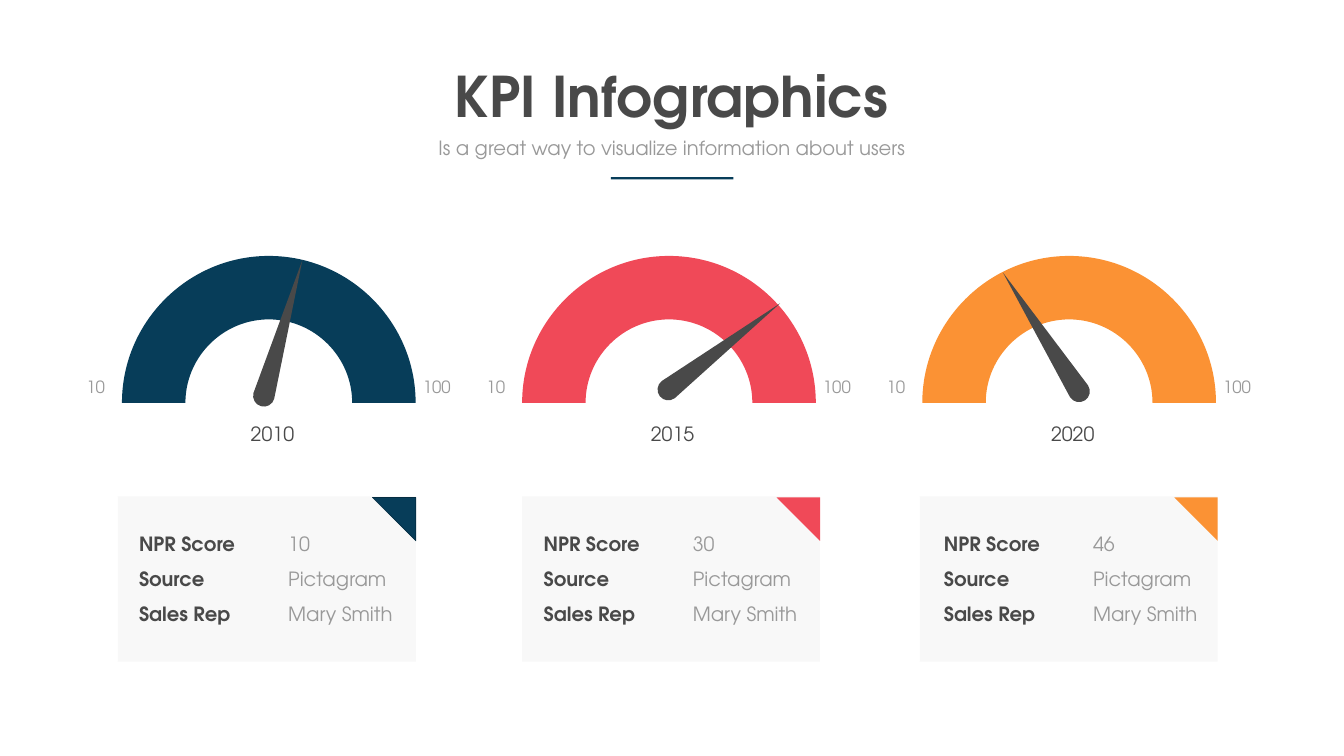
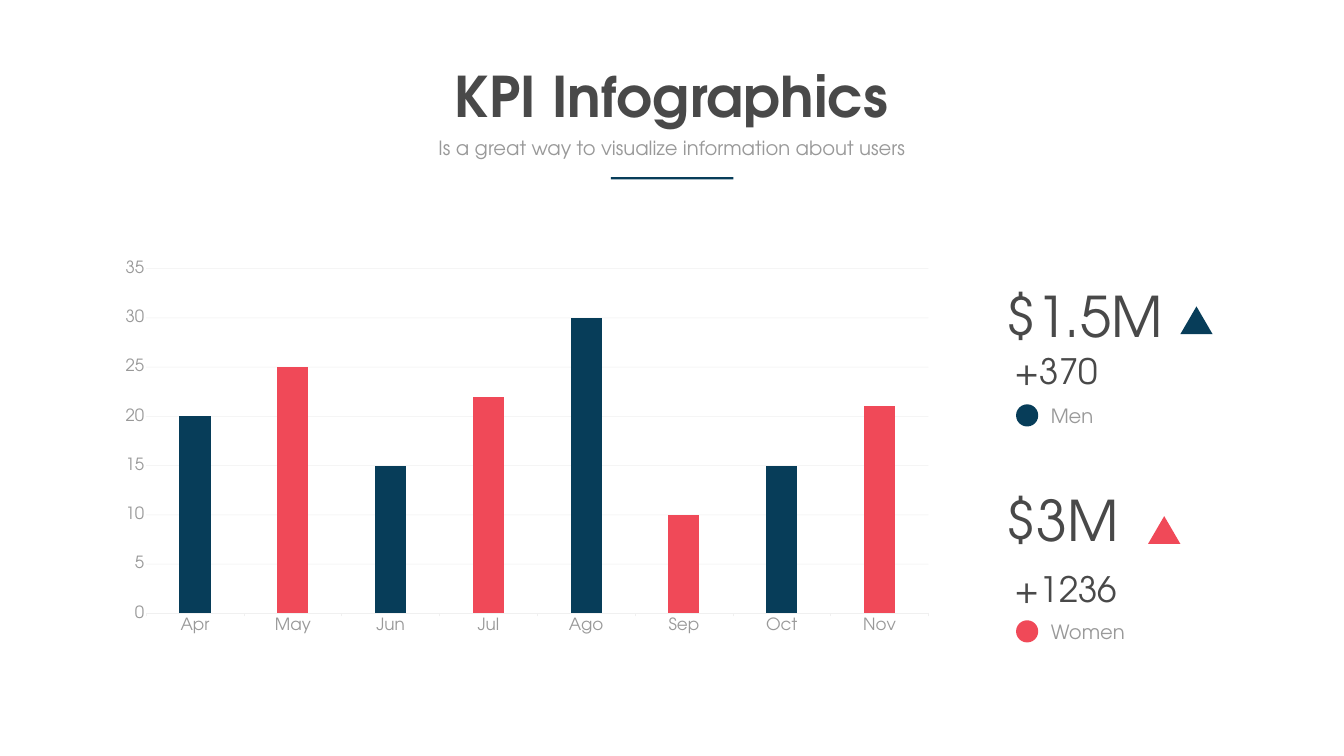
import math
from dataclasses import dataclass
from typing import Any, NamedTuple

from lxml import etree
from pptx import Presentation
from pptx.chart.data import CategoryChartData
from pptx.dml.color import RGBColor
from pptx.enum.chart import XL_CHART_TYPE, XL_TICK_MARK
from pptx.enum.shapes import MSO_SHAPE
from pptx.enum.text import MSO_AUTO_SIZE, PP_ALIGN
from pptx.oxml import parse_xml
from pptx.oxml.ns import nsdecls, qn
from pptx.util import Inches, Pt

RECTANGLE = MSO_SHAPE.RECTANGLE
OVAL = MSO_SHAPE.OVAL
TRIANGLE = MSO_SHAPE.ISOSCELES_TRIANGLE
RIGHT_TRIANGLE = MSO_SHAPE.RIGHT_TRIANGLE
COLUMN_CHART = XL_CHART_TYPE.COLUMN_CLUSTERED
TICK_OUTSIDE = XL_TICK_MARK.OUTSIDE
TICK_NONE = XL_TICK_MARK.NONE
GROW = MSO_AUTO_SIZE.SHAPE_TO_FIT_TEXT
LEFT, CENTER, RIGHT = PP_ALIGN.LEFT, PP_ALIGN.CENTER, PP_ALIGN.RIGHT

SLIDE_WIDTH, SLIDE_HEIGHT = Inches(26.67), Inches(15)
GRID_COLUMNS, GRID_ROWS = 320, 180
FONT = "TeX Gyre Adventor"
NAVY, NAVY_EDGE, RED, ORANGE = "073D59", "052D42", "F04958", "FB9234"
DARK, GREY, PALE, AXIS = "494949", "999999", "F2F2F2", "F0F0F0"
LABEL_SPACING = 40.8

GAUGE_PITCH, GAUGE_LEFT, GAUGE_BASE = 95.28, 29.04, 95.9
OUTER_RADIUS, INNER_RADIUS = 34.96, 19.85
NEEDLE_LENGTH, NEEDLE_RADIUS = 33.6, 2.56
CURVE_HANDLE = 0.55
CARD_TOP, CARD_WIDTH, CARD_HEIGHT, CORNER = 118.2, 70.92, 39.36, 10.32
DETAIL_TOP, DETAIL_PITCH, DETAIL_HEIGHT, VALUE_OFFSET = 126, 8.33, 6.84, 35.52


class Box(NamedTuple):
    column: float
    row: float
    columns: float
    rows: float


class Point(NamedTuple):
    column: float
    row: float


@dataclass
class TextStyle:
    size: float = 28
    color: str = GREY
    bold: bool = False
    align: Any = LEFT
    spacing: float | None = None
    wrap: bool = True


@dataclass
class Gauge:
    year: str
    color: str
    needle_angle: float
    pivot_offset: float
    pivot_row: float
    card_column: float
    detail_column: float
    score: str
    edge: str | None = None


@dataclass
class Total:
    amount: str
    change: str
    audience: str
    color: str
    amount_row: float
    change_row: float
    audience_row: float
    triangle: Point


TITLE = TextStyle(80, DARK, bold=True, align=CENTER, wrap=False)
SUBTITLE = TextStyle(align=CENTER)
YEAR = TextStyle(color=DARK, align=CENTER)
MINIMUM = TextStyle(24, align=RIGHT, spacing=LABEL_SPACING)
MAXIMUM = TextStyle(24, spacing=LABEL_SPACING)
DETAIL_NAME = TextStyle(color=DARK, bold=True)
PLAIN = TextStyle()
AMOUNT = TextStyle(80, DARK)
CHANGE = TextStyle(50, DARK, spacing=LABEL_SPACING)

GAUGES = [
    Gauge("2010", NAVY, 15.85, 33.78, 94.26, 28.08, 31.92, "10", NAVY_EDGE),
    Gauge("2015", RED, 52.35, 34.8, 92.76, 124.32, 128.28, "30"),
    Gauge("2020", ORANGE, -32.65, 37.32, 93.18, 219, 223.56, "46"),
]
TOTALS = [
    Total("$1.5M", "+370", "Men", NAVY, 66.48, 85.92, 95.52, Point(281.04, 72.96)),
    Total("$3M", "+1236", "Women", RED, 115.08, 137.76, 146.94, Point(273.36, 122.88)),
]
MONTHLY = {"Apr": 20, "May": 25, "Jun": 15, "Jul": 22,
           "Ago": 30, "Sep": 10, "Oct": 15, "Nov": 21}


def rgb(color: str) -> RGBColor:
    return RGBColor.from_string(color)


def x(columns: float) -> int:
    return round(SLIDE_WIDTH * columns / GRID_COLUMNS)


def y(rows: float) -> int:
    return round(SLIDE_HEIGHT * rows / GRID_ROWS)


def place(box: Box) -> tuple[int, int, int, int]:
    return x(box.column), y(box.row), x(box.columns), y(box.rows)


def set_opacity(color_element: Any, percent: int) -> None:
    etree.SubElement(color_element, qn("a:alpha")).set("val", str(percent * 1000))


def paint(shape: Any, color: str, edge: str | None = None) -> None:
    shape.shadow.inherit = False
    shape.fill.solid()
    shape.fill.fore_color.rgb = rgb(color)
    if edge:
        shape.line.color.rgb = rgb(edge)
        shape.line.width = Pt(1)
    else:
        shape.line.fill.background()


def add_figure(shapes: Any, kind: Any, box: Box, color: str, edge: str | None = None) -> Any:
    shape = shapes.add_shape(kind, *place(box))
    paint(shape, color, edge)
    return shape


def add_outline(shapes: Any, strokes: list[list[Point]], color: str) -> None:
    corners = [(x(point.column), y(point.row)) for stroke in strokes for point in stroke]
    builder = shapes.build_freeform(*corners[0])
    builder.add_line_segments(corners[1:], close=True)
    shape = builder.convert_to_shape()
    paint(shape, color)
    lines = iter(shape._element.xpath(".//a:path/a:lnTo"))
    for stroke in strokes[1:]:
        first, *others = [next(lines) for _ in stroke]
        if others:
            first.tag = qn("a:cubicBezTo")
            for line in others:
                first.append(line[0])
                line.getparent().remove(line)


def add_text(shapes: Any, text: str, box: Box, style: TextStyle) -> None:
    text_frame = shapes.add_textbox(*place(box)).text_frame
    text_frame.word_wrap = style.wrap
    text_frame.auto_size = GROW
    text_frame.text = text
    paragraph = text_frame.paragraphs[0]
    paragraph.alignment = style.align
    if style.spacing:
        paragraph.line_spacing = Pt(style.spacing)
    font = paragraph.runs[0].font
    font.name, font.size, font.bold = FONT, Pt(style.size), style.bold
    font.color.rgb = rgb(style.color)


def add_header(shapes: Any) -> None:
    add_text(shapes, "KPI Infographics", Box(106.44, 14.04, 106.92, 17.4), TITLE)
    add_text(shapes, "Is a great way to visualize information about users",
             Box(102.6, 31.8, 114.72, 6.84), SUBTITLE)
    add_figure(shapes, RECTANGLE, Box(145.44, 42.2, 29.16, 0.52), NAVY)


def on_circle(center: Point, radius: float, angle: float) -> Point:
    turn = math.radians(angle)
    return Point(center.column + radius * math.cos(turn), center.row - radius * math.sin(turn))


def quarter(center: Point, radius: float, start: int, sweep: int) -> list[Point]:
    first, last = (on_circle(center, radius, angle) for angle in (start, start + sweep))
    handle = radius * CURVE_HANDLE
    return [on_circle(first, handle, start + sweep),
            on_circle(last, handle, start), last]


def band_strokes(center: Point) -> list[list[Point]]:
    return [[on_circle(center, OUTER_RADIUS, 0)],
            quarter(center, OUTER_RADIUS, 0, 90),
            quarter(center, OUTER_RADIUS, 90, 90),
            [on_circle(center, INNER_RADIUS, 180)],
            quarter(center, INNER_RADIUS, 180, -90),
            quarter(center, INNER_RADIUS, 90, -90)]


def needle_strokes(pivot: Point, angle: float) -> list[list[Point]]:
    return [[on_circle(pivot, NEEDLE_LENGTH, 90 - angle)],
            [on_circle(pivot, NEEDLE_RADIUS, 180 - angle)],
            quarter(pivot, NEEDLE_RADIUS, 180 - angle, 90),
            quarter(pivot, NEEDLE_RADIUS, 270 - angle, 90)]


def add_gauge(shapes: Any, gauge: Gauge, left: float) -> None:
    group = shapes.add_group_shape().shapes
    add_outline(group, band_strokes(Point(left + OUTER_RADIUS, GAUGE_BASE)), gauge.color)
    pivot = Point(left + gauge.pivot_offset, gauge.pivot_row)
    add_outline(group, needle_strokes(pivot, gauge.needle_angle), DARK)
    add_text(group, "10", Box(left - 15.72, 87.12, 12.84, 7.32), MINIMUM)
    add_text(group, "100", Box(left + 70.44, 87.12, 16.44, 7.32), MAXIMUM)
    add_text(group, gauge.year, Box(left - 15.48, 99.8, 102.6, 6.84), YEAR)


def add_details(shapes: Any, gauge: Gauge) -> None:
    group = shapes.add_group_shape().shapes
    details = {"NPR Score": gauge.score, "Source": "Pictagram", "Sales Rep": "Mary Smith"}
    for index, (name, value) in enumerate(details.items()):
        row = DETAIL_TOP + index * DETAIL_PITCH
        add_text(group, name, Box(gauge.detail_column, row, 36.72, DETAIL_HEIGHT), DETAIL_NAME)
        add_text(group, value,
                 Box(gauge.detail_column + VALUE_OFFSET, row, 28.2, DETAIL_HEIGHT), PLAIN)


def build_gauge_slide(slide: Any) -> None:
    shapes = slide.shapes
    for gauge in reversed(GAUGES):
        card = add_figure(shapes, RECTANGLE,
                          Box(gauge.card_column, CARD_TOP, CARD_WIDTH, CARD_HEIGHT), PALE)
        set_opacity(card._element.xpath("./p:spPr/a:solidFill/a:srgbClr")[0], 50)
    add_header(shapes)
    for index, gauge in enumerate(GAUGES):
        add_gauge(shapes, gauge, GAUGE_LEFT + index * GAUGE_PITCH)
    for gauge in GAUGES:
        add_details(shapes, gauge)
    for gauge in GAUGES:
        corner_column = gauge.card_column + CARD_WIDTH - CORNER
        corner = add_figure(shapes, RIGHT_TRIANGLE,
                            Box(corner_column, CARD_TOP + 0.24, CORNER, CORNER),
                            gauge.color, gauge.edge)
        corner.rotation = 180


def set_plot_layout(chart: Any, percents: Box) -> None:
    plot_area = chart._chartSpace.xpath("c:chart/c:plotArea")[0]
    for existing in plot_area.xpath("c:layout"):
        plot_area.remove(existing)
    sizes = "".join(f'<c:{name} val="{percent / 100:.3f}"/>'
                    for name, percent in zip("xywh", percents))
    plot_area.insert(0, parse_xml(
        f'<c:layout {nsdecls("c")}><c:manualLayout><c:layoutTarget val="inner"/>'
        f'<c:xMode val="edge"/><c:yMode val="edge"/>{sizes}</c:manualLayout></c:layout>'))


def style_font(font: Any) -> None:
    font.name, font.size = FONT, Pt(24)
    font.color.rgb = rgb(GREY)


def add_monthly_chart(shapes: Any) -> None:
    data = CategoryChartData()
    data.categories = list(MONTHLY)
    data.add_series("Series 1", list(MONTHLY.values()))
    chart = shapes.add_chart(COLUMN_CHART, *place(Box(26.34, 55.28, 196.68, 101.76)), data).chart
    chart.has_legend = chart.has_title = False
    style_font(chart.font)
    set_plot_layout(chart, Box(4.3, 8.5, 94.7, 80.7))
    plot = chart.plots[0]
    plot.gap_width, plot.overlap, plot.vary_by_categories = 215, -3, False
    series = plot.series[0]
    for index, target in enumerate([series, *(series.points[i] for i in range(len(MONTHLY)))]):
        target.format.fill.solid()
        target.format.fill.fore_color.rgb = rgb(RED if index and index % 2 == 0 else NAVY)
    months, amounts = chart.category_axis, chart.value_axis
    for axis, tick in ((months, TICK_OUTSIDE), (amounts, TICK_NONE)):
        axis.major_tick_mark, axis.minor_tick_mark = tick, TICK_NONE
        style_font(axis.tick_labels.font)
    amounts.minimum_scale, amounts.maximum_scale, amounts.major_unit = 0, 35, 5
    amounts.has_major_gridlines = True
    amounts.format.line.fill.background()
    for part, color in ((months, AXIS), (amounts.major_gridlines, GREY)):
        part.format.line.color.rgb = rgb(color)
        part.format.line.width = Pt(0.75)
    set_opacity(amounts._element.xpath("./c:majorGridlines//a:srgbClr")[0], 15)


def add_total(shapes: Any, total: Total) -> None:
    add_text(shapes, total.change, Box(240.36, total.change_row, 37.2, 8.28), CHANGE)
    add_text(shapes, total.audience, Box(249, total.audience_row, 32.04, 6.84), PLAIN)
    add_figure(shapes, OVAL, Box(241.92, total.audience_row + 0.75, 5.28, 5.28), total.color)
    add_text(shapes, total.amount, Box(238.32, total.amount_row, 55.44, 17.4), AMOUNT)
    add_figure(shapes, TRIANGLE, Box(*total.triangle, 7.68, 6.6), total.color)


def build_chart_slide(slide: Any) -> None:
    add_header(slide.shapes)
    add_monthly_chart(slide.shapes)
    for total in TOTALS:
        add_total(slide.shapes, total)


def main() -> None:
    presentation = Presentation()
    presentation.slide_width, presentation.slide_height = SLIDE_WIDTH, SLIDE_HEIGHT
    blank = presentation.slide_layouts[6]
    for build in (build_gauge_slide, build_chart_slide):
        build(presentation.slides.add_slide(blank))
    presentation.save("out.pptx")


if __name__ == "__main__":
    main()
